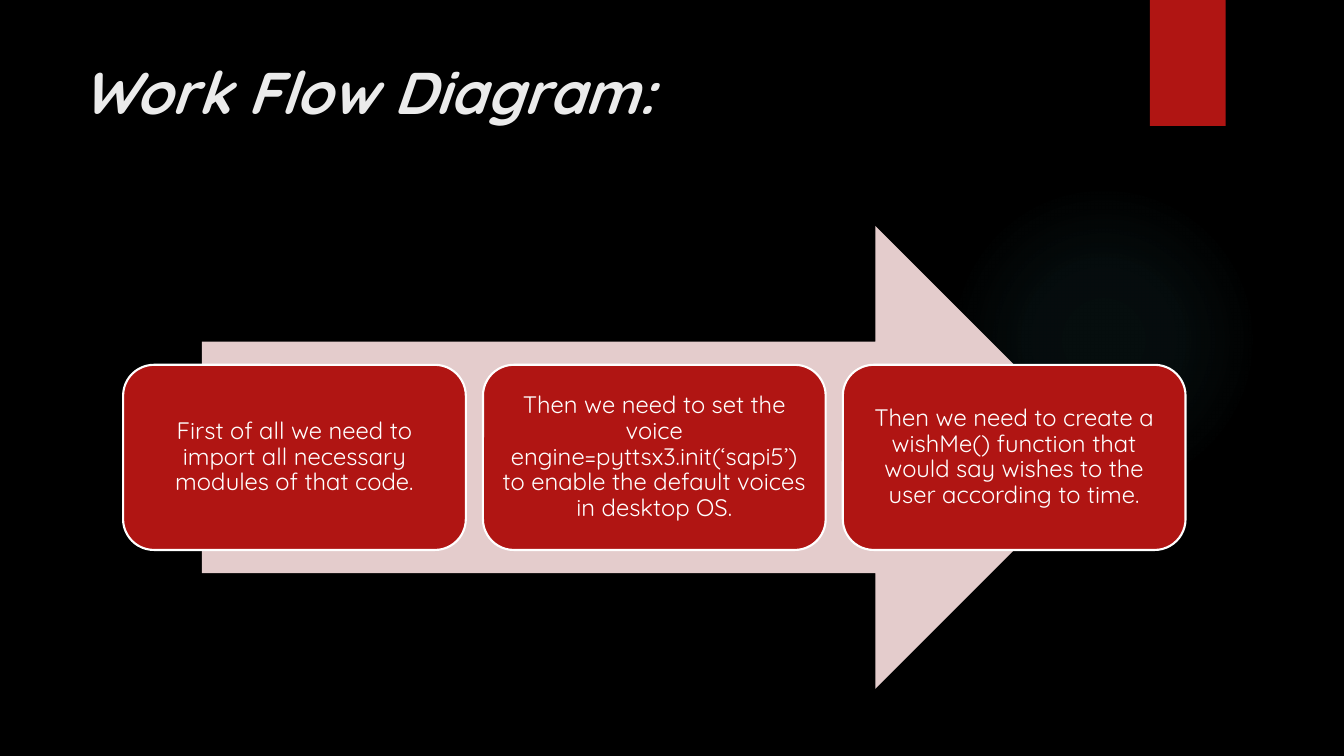
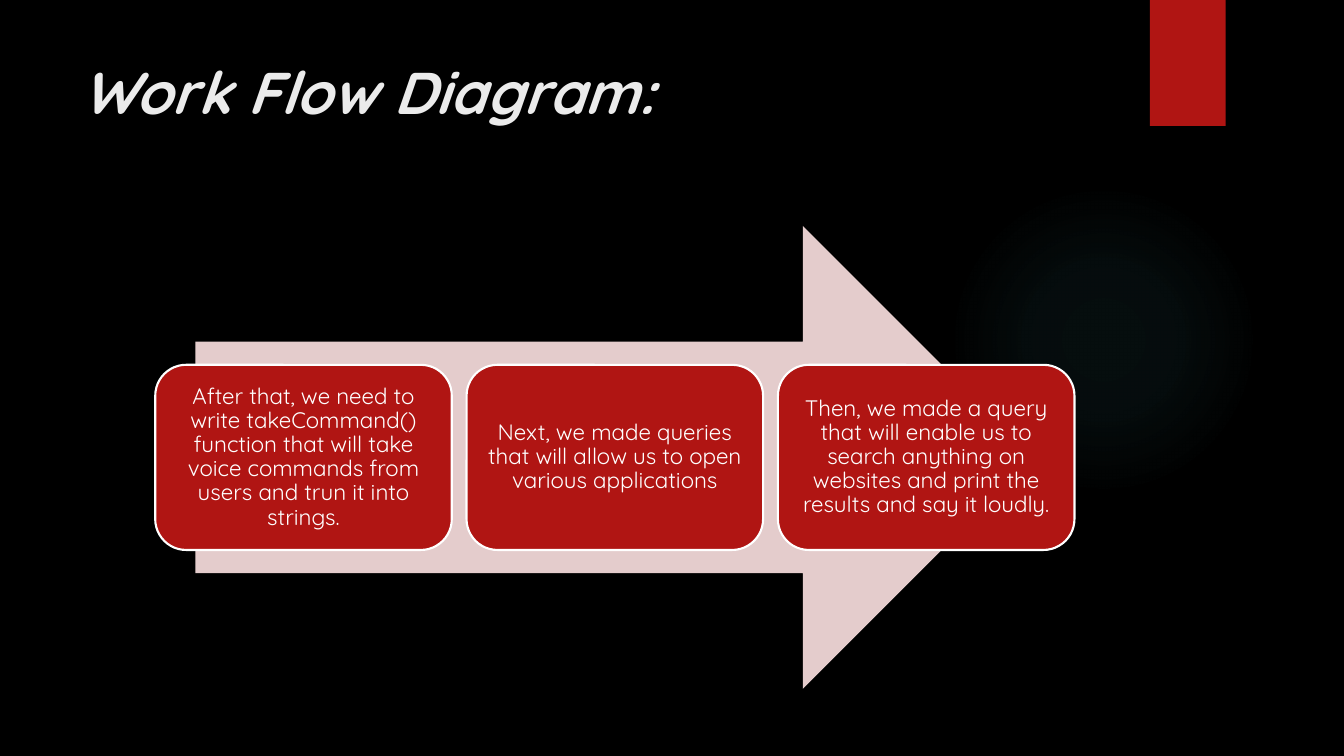
from dataclasses import dataclass

from lxml import etree
from pptx import Presentation, util as u
from pptx.dml.color import RGBColor
from pptx.enum import shapes, text
from pptx.oxml import ns


@dataclass(frozen=True)
class Theme:
    font: str = "Quicksand"
    back: str = "000000"
    accent: str = "B01513"
    arrow: str = "E4CCCC"
    glow: str = "50B9C1"
    title: str = "EBEBEB"
    body: str = "FFFFFF"
    title_size: int = 42
    border: float = 1.5


THEME = Theme()
WIDTH, HEIGHT = u.Inches(40 / 3), u.Inches(7.5)
COLS, ROWS = 32, 18
ARROW_TOP, ARROW_HEIGHT = 5.38, 11.02
ARROW_SHARE, CARD_SHARE, GAP_SHARE = 0.85, 0.4, 0.05
GLOW_STOPS = ((0, 7), (36, 6), (69, 0))

FLOWS = (
    dict(center=15.58, frame=25.35, card=8.16, size=17, steps=(
        "First of all we need to import all necessary modules of that code.",
        "Then we need to set the voice engine=pyttsx3.init(‘sapi5’) to enable "
        "the default voices in desktop OS.",
        "Then we need to create a wishMe() function that would say wishes to "
        "the user according to time.",
    )),
    dict(center=14.64, frame=23.5, card=7.06, size=16, steps=(
        "After that, we need to write takeCommand() function that will take "
        "voice commands from users and trun it into strings.",
        "Next, we made queries that will allow us to open various applications",
        "Then, we made a query that will enable us to search anything on "
        "websites and print the results and say it loudly.",
    )),
)


def grid(col, row, cols, rows):
    cw, rh = WIDTH / COLS, HEIGHT / ROWS
    return [u.Emu(round(v)) for v in (col * cw, row * rh, cols * cw, rows * rh)]


def rgb(color):
    return RGBColor.from_string(color)


def add_shape(s, kind, box, fill=None, line=None):
    sp = s.shapes.add_shape(kind, *grid(*box))
    sp.shadow.inherit = False
    if fill:
        sp.fill.solid()
        sp.fill.fore_color.rgb = rgb(fill)
    else:
        sp.fill.background()
    if line:
        sp.line.color.rgb = rgb(line)
        sp.line.width = u.Pt(THEME.border)
    else:
        sp.line.fill.background()
    return sp


def write(sp, content, *, size, color, bold=False, italic=False, inset=None,
          align=text.PP_ALIGN.LEFT, anchor=text.MSO_ANCHOR.TOP, spacing=1.0):
    tf = sp.text_frame
    tf.word_wrap = True
    tf.vertical_anchor = anchor
    if inset is not None:
        tf.margin_left = tf.margin_right = u.Inches(inset)
        tf.margin_top = tf.margin_bottom = u.Inches(inset)
    p = tf.paragraphs[0]
    p.alignment = align
    p.line_spacing = spacing
    r = p.add_run()
    r.text = content
    r.font.name = THEME.font
    r.font.size = u.Pt(size)
    r.font.bold = bold
    r.font.italic = italic
    r.font.color.rgb = rgb(color)


def add_glow(s, box):
    sp = add_shape(s, shapes.MSO_SHAPE.OVAL, box)
    plain = sp._element.spPr.find(ns.qn("a:noFill"))
    grad = etree.Element(ns.qn("a:gradFill"), rotWithShape="1")
    stops = etree.SubElement(grad, ns.qn("a:gsLst"))
    for pos, alpha in GLOW_STOPS:
        stop = etree.SubElement(stops, ns.qn("a:gs"), pos=str(pos * 1000))
        color = etree.SubElement(stop, ns.qn("a:srgbClr"), val=THEME.glow)
        etree.SubElement(color, ns.qn("a:alpha"), val=str(alpha * 1000))
    radial = etree.SubElement(grad, ns.qn("a:path"), path="circle")
    etree.SubElement(radial, ns.qn("a:fillToRect"),
                     {side: "50000" for side in "ltrb"})
    plain.getparent().replace(plain, grad)


def add_slide(prs, title):
    s = prs.slides.add_slide(prs.slide_layouts[6])
    s.background.fill.solid()
    s.background.fill.fore_color.rgb = rgb(THEME.back)
    add_glow(s, (22.58, 4.39, 7.39, 7.39))
    add_shape(s, shapes.MSO_SHAPE.RECTANGLE, (27.38, 0, 1.8, 3), THEME.accent)
    write(s.shapes.add_textbox(*grid(1.7, 1.2, 24.7, 3.67)), title,
          size=THEME.title_size, color=THEME.title, bold=True, italic=True)
    return s


def add_flow(s, center, frame, card, size, steps):
    length = frame * ARROW_SHARE
    add_shape(s, shapes.MSO_SHAPE.RIGHT_ARROW,
              (center - length / 2, ARROW_TOP, length, ARROW_HEIGHT), THEME.arrow)
    height = ARROW_HEIGHT * CARD_SHARE
    top = ARROW_TOP + (ARROW_HEIGHT - height) / 2
    pitch = card * (1 + GAP_SHARE)
    left = center - (pitch * (len(steps) - 1) + card) / 2
    for i, step in enumerate(steps):
        sp = add_shape(s, shapes.MSO_SHAPE.ROUNDED_RECTANGLE,
                       (left + i * pitch, top, card, height),
                       THEME.accent, THEME.body)
        write(sp, step, size=size, color=THEME.body, inset=0.07, spacing=0.9,
              align=text.PP_ALIGN.CENTER, anchor=text.MSO_ANCHOR.MIDDLE)


def main():
    prs = Presentation()
    prs.slide_width, prs.slide_height = WIDTH, HEIGHT
    for flow in FLOWS:
        add_flow(add_slide(prs, "Work Flow Diagram:"), **flow)
    prs.save("out.pptx")


if __name__ == "__main__":
    main()
